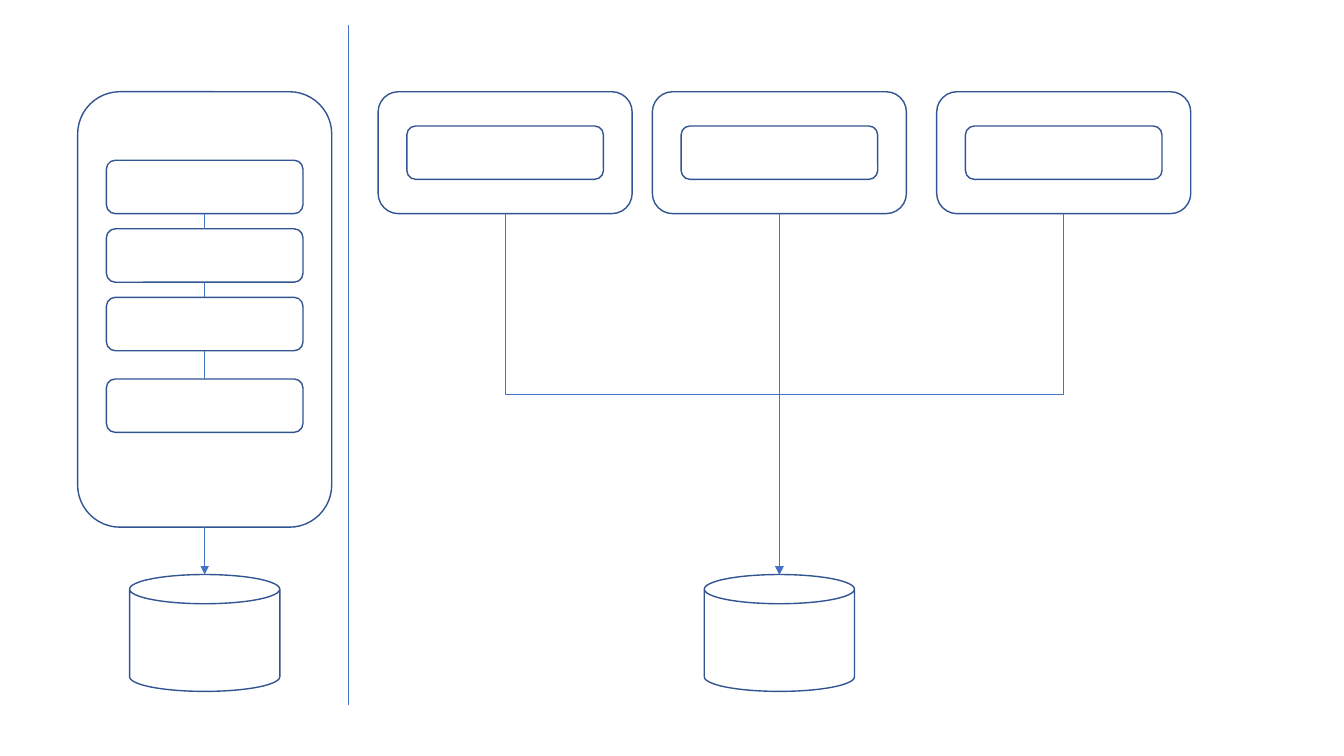
from lxml import etree
from pptx import Presentation
from pptx.dml.color import RGBColor
from pptx.enum.shapes import MSO_CONNECTOR, MSO_SHAPE
from pptx.oxml.ns import qn
from pptx.util import Inches, Pt

ROUND, CAN = MSO_SHAPE.ROUNDED_RECTANGLE, MSO_SHAPE.CAN
STRAIGHT, ELBOW = MSO_CONNECTOR.STRAIGHT, MSO_CONNECTOR.ELBOW
TOP, BOTTOM = 0, 2
COLORS = {"edge": "325491", "link": "4472C4"}
PANEL_W, MOD_W, MOD_H = 2.52, 1.95, 0.53
CAN_W, CAN_H, CAN_TOP = 1.49, 1.16, 5.7


class Board:
    def __init__(self, slide):
        self.shapes = slide.shapes

    def stroke(self, item, color, width):
        item.line.color.rgb = RGBColor.from_string(COLORS[color])
        item.line.width = Pt(width)

    def box(self, kind, mid, top, width, height):
        """Draw an unfilled shape centred on x = mid."""
        shape = self.shapes.add_shape(kind, Inches(mid - width / 2), Inches(top),
                                      Inches(width), Inches(height))
        shape.shadow.inherit = False
        shape.fill.background()
        self.stroke(shape, "edge", 1)
        return shape

    def module(self, mid, top):
        return self.box(ROUND, mid, top, MOD_W, MOD_H)

    def store(self, mid):
        return self.box(CAN, mid, CAN_TOP, CAN_W, CAN_H)

    def link(self, start, end, kind=STRAIGHT, arrow=False):
        line = self.shapes.add_connector(kind, *map(Inches, start + end))
        self.stroke(line, "link", 0.5)
        props = line._element.spPr
        if arrow:
            etree.SubElement(props.find(qn("a:ln")), qn("a:tailEnd"), type="triangle")
        etree.SubElement(props, qn("a:effectLst"))
        return line

    def drop(self, start, end):
        """Draw an elbow arrow that leaves downwards, by turning its frame."""
        line = self.link(start, end, ELBOW, True)
        (x1, y1), (x2, y2) = start, end
        span, rise = abs(x2 - x1), y2 - y1
        line.left = Inches((x1 + x2 - rise) / 2)
        line.top = Inches((y1 + y2 - span) / 2)
        line.width, line.height = Inches(rise), Inches(span)
        frame = line._element.spPr.find(qn("a:xfrm"))
        leftward = x2 < x1
        frame.set("rot", str((90 if leftward else 270) * 60000))
        frame.set("flipH", "0" if leftward else "1")


def main():
    deck = Presentation()
    deck.slide_width, deck.slide_height = Inches(13.33), Inches(7.5)
    board = Board(deck.slides.add_slide(deck.slide_layouts[6]))

    # Single host with a chain of modules
    mid = 2.03
    chain = [board.module(mid, top) for top in (1.59, 2.27, 2.95, 3.76)]
    for upper, lower in zip(chain, chain[1:]):
        line = board.link((mid, 2), (mid, 3))
        line.begin_connect(upper, BOTTOM)
        line.end_connect(lower, TOP)
    host = board.box(ROUND, mid, 0.91, PANEL_W, 4.32)
    board.store(mid)
    board.link((mid, 5.23), (mid, CAN_TOP), arrow=True).begin_connect(host, BOTTOM)

    board.link((3.46, 0.25), (3.46, 6.99))

    # Separate hosts that share one store
    hub, base = 7.73, 2.12
    panels = {}
    for mid in (5.01, 10.55, hub):
        panels[mid] = board.box(ROUND, mid, 0.91, PANEL_W, 1.21)
        board.module(mid, 1.25)
    board.store(hub)
    for mid in (10.55, 5.01):
        board.drop((mid, base), (hub, CAN_TOP))
    board.link((hub, base), (hub, CAN_TOP), arrow=True).begin_connect(panels[hub], BOTTOM)

    deck.save("out.pptx")


if __name__ == "__main__":
    main()
